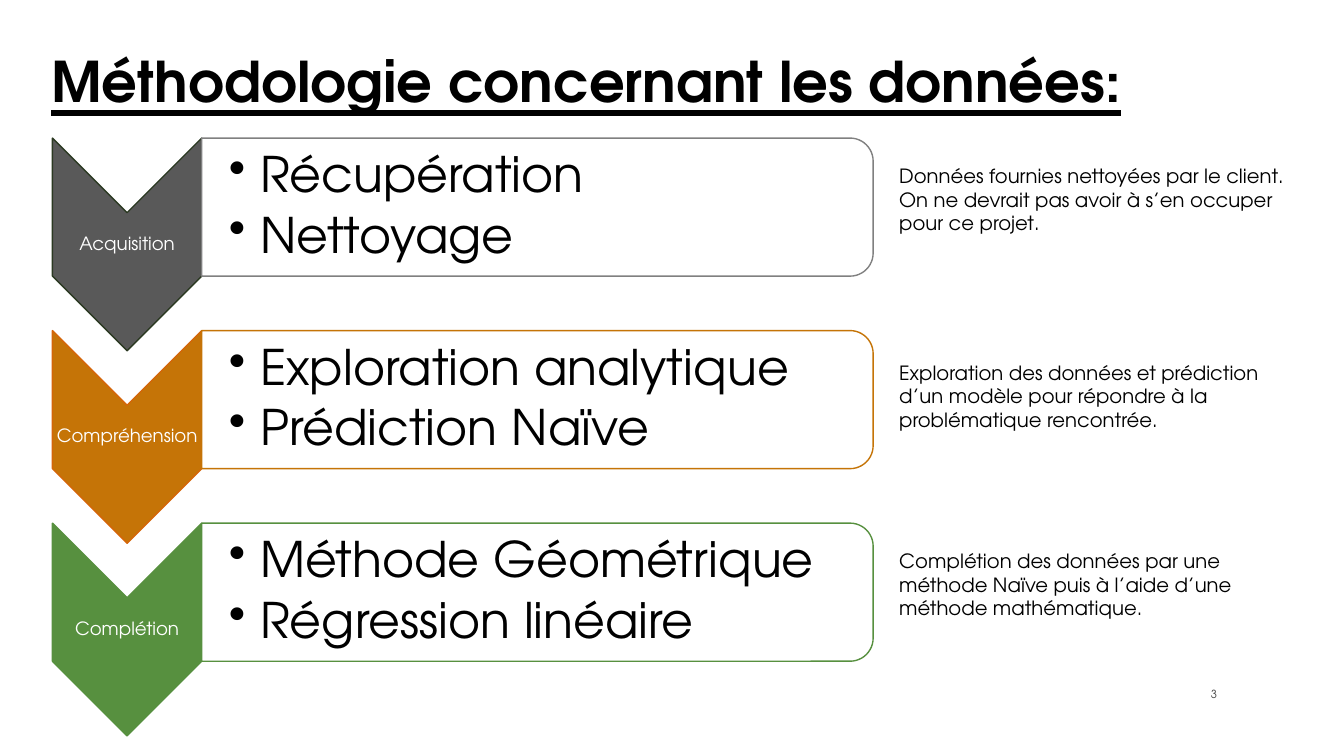
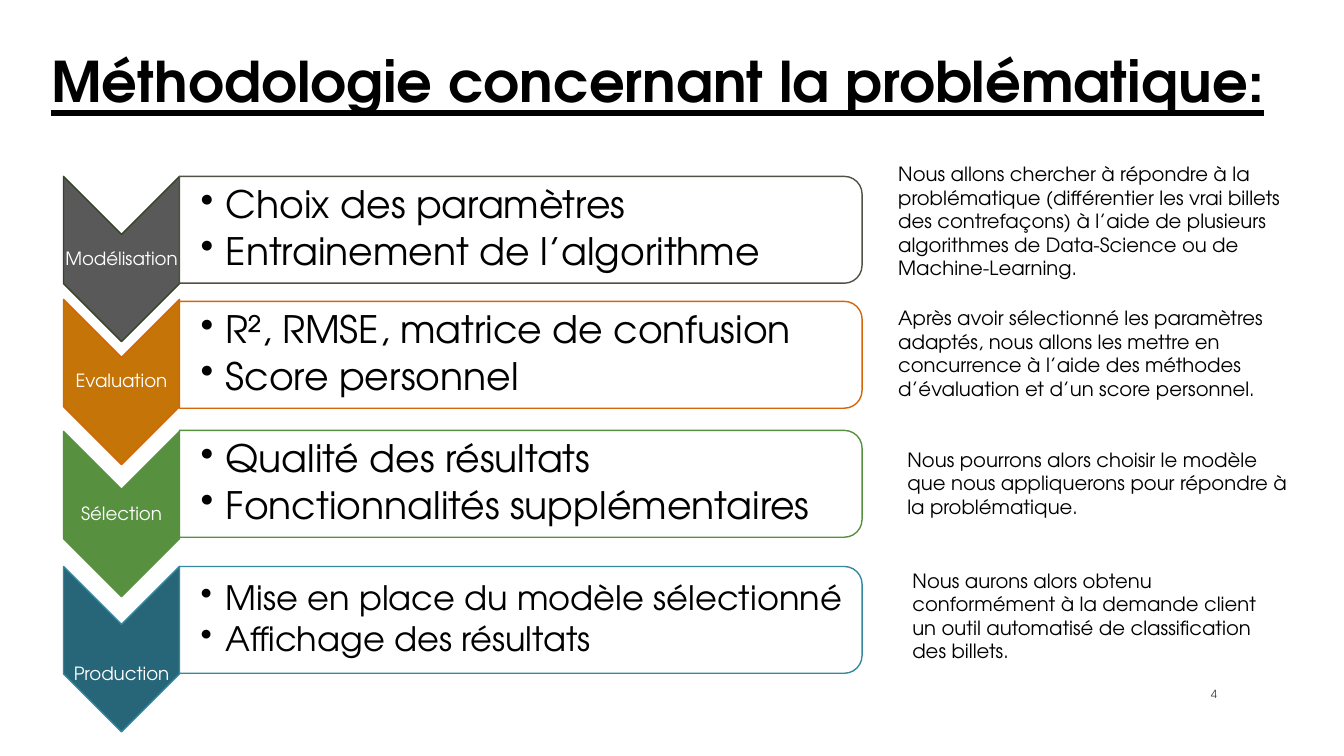
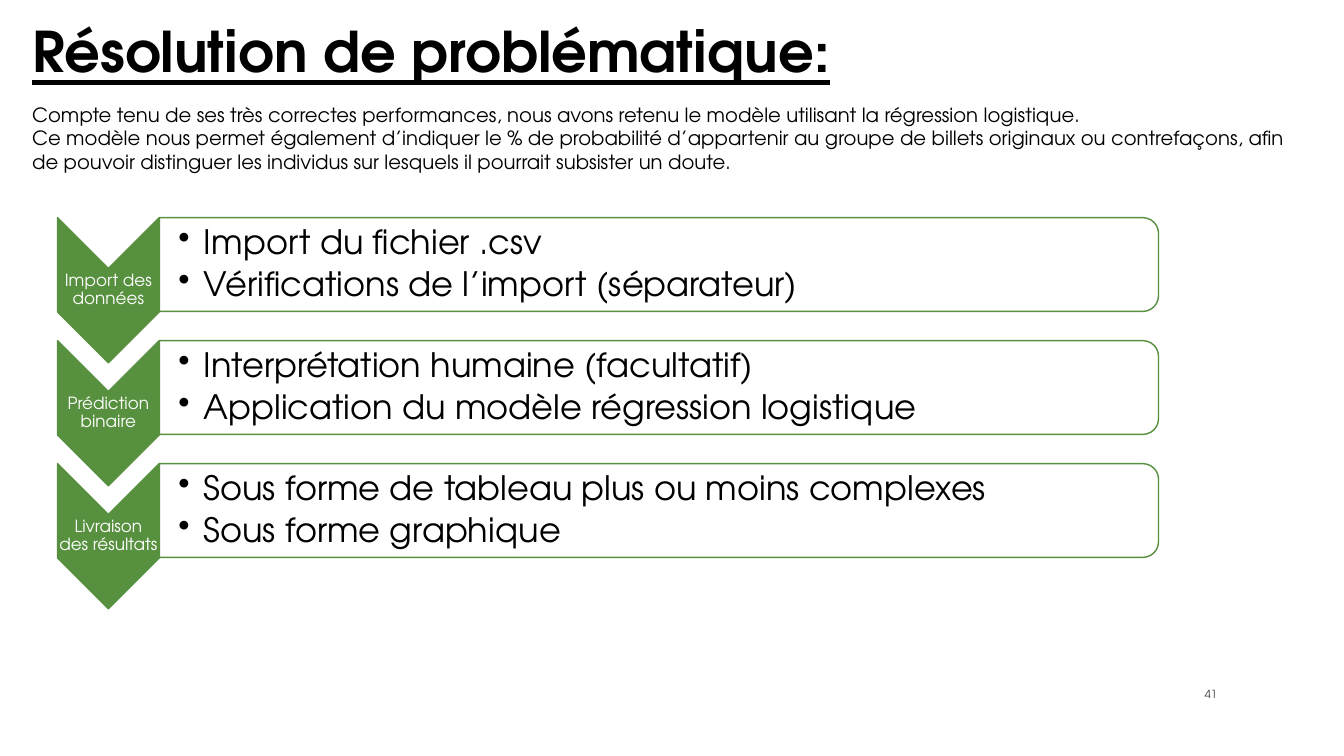
from dataclasses import dataclass

from lxml import etree
from pptx import Presentation
from pptx.dml.color import RGBColor
from pptx.enum.shapes import MSO_SHAPE
from pptx.enum.text import MSO_ANCHOR, MSO_AUTO_SIZE, PP_ALIGN
from pptx.oxml.ns import qn
from pptx.util import Inches, Pt

CHEVRON = MSO_SHAPE.CHEVRON
ROUNDED_END = MSO_SHAPE.ROUND_2_SAME_RECTANGLE
TOP, MIDDLE, BOTTOM = MSO_ANCHOR.TOP, MSO_ANCHOR.MIDDLE, MSO_ANCHOR.BOTTOM
LEFT, CENTER, RIGHT = PP_ALIGN.LEFT, PP_ALIGN.CENTER, PP_ALIGN.RIGHT
GROW = MSO_AUTO_SIZE.SHAPE_TO_FIT_TEXT

FONT = "TeX Gyre Adventor"
BLACK = RGBColor(0x00, 0x00, 0x00)
WHITE = RGBColor(0xFF, 0xFF, 0xFF)
DARK_GRAY = RGBColor(0x40, 0x40, 0x40)
GRAY = RGBColor(0x59, 0x59, 0x59)
LIGHT_GRAY = RGBColor(0x80, 0x80, 0x80)
OLIVE_GRAY = RGBColor(0x50, 0x50, 0x46)
DEEP_GREEN = RGBColor(0x2B, 0x39, 0x22)
MOSS = RGBColor(0x34, 0x45, 0x29)
OCHRE = RGBColor(0xC5, 0x74, 0x07)
ORANGE = RGBColor(0xD5, 0x65, 0x09)
GREEN = RGBColor(0x57, 0x90, 0x3F)
TEAL = RGBColor(0x27, 0x66, 0x78)
LIGHT_TEAL = RGBColor(0x34, 0x88, 0xA0)


@dataclass
class StepStyle:
    """Sizes, in inches and points, shared by the steps of one slide."""
    left: float
    chevron_width: float
    chevron_height: float
    box_width: float
    box_height: float
    inset: float
    indent: float
    label_size: int


@dataclass
class Step:
    label: str
    bullets: tuple
    fill: RGBColor = GREEN
    chevron_line: RGBColor = GREEN
    box_line: RGBColor = GREEN
    size: int = 24
    label_shift: float = 0


def write(frame, lines, size, color=BLACK, align=LEFT, anchor=TOP):
    frame.word_wrap = True
    frame.vertical_anchor = anchor
    frame.text = "\n".join(lines)
    for para in frame.paragraphs:
        para.alignment = align
        for span in para.runs:
            span.font.name = FONT
            span.font.size = Pt(size)
            span.font.color.rgb = color


def add_text(page, box, lines, size, **look):
    left, top, width, height = map(Inches, box)
    frame = page.shapes.add_textbox(left, top, width, height).text_frame
    write(frame, lines, size, **look)
    return frame


def add_note(page, box, *lines):
    add_text(page, box, lines, 14).auto_size = GROW


def set_insets(frame, left, others):
    frame.margin_left = Inches(left)
    frame.margin_top = frame.margin_right = frame.margin_bottom = Inches(others)


def add_bullet(para, indent):
    """Give the paragraph a hanging bullet and 15 % of space after it."""
    para.line_spacing = 0.9
    properties = para._p.get_or_add_pPr()
    properties.set("marL", str(Inches(indent)))
    properties.set("indent", str(-Inches(indent)))
    space = etree.SubElement(properties, qn("a:spcAft"))
    etree.SubElement(space, qn("a:spcPct")).set("val", "15000")
    etree.SubElement(properties, qn("a:buChar")).set("char", "•")


def add_turned_shape(page, kind, box, fill, line):
    """Add a shape turned by 90 degrees that covers the given box."""
    left, top, width, height = box
    shift = (width - height) / 2
    shape = page.shapes.add_shape(kind, Inches(left + shift), Inches(top - shift),
                                  Inches(height), Inches(width))
    shape.rotation = 90
    shape.shadow.inherit = False
    shape.fill.solid()
    shape.fill.fore_color.rgb = fill
    shape.line.color.rgb = line
    shape.line.width = Pt(1)


def add_step(page, style, step, chevron_top, box_top):
    width, height = style.chevron_width, style.chevron_height
    add_turned_shape(page, CHEVRON, (style.left, chevron_top, width, height),
                     step.fill, step.chevron_line)
    label_box = (style.left, chevron_top + width / 2 + step.label_shift,
                 width, height - width)
    label = add_text(page, label_box, [step.label], style.label_size,
                     color=WHITE, align=CENTER, anchor=MIDDLE)
    set_insets(label, 0.01, 0.01)
    label.paragraphs[0].line_spacing = 0.9

    box = (style.left + width, box_top, style.box_width, style.box_height)
    add_turned_shape(page, ROUNDED_END, box, WHITE, step.box_line)
    bullets = add_text(page, box, step.bullets, step.size, anchor=MIDDLE)
    set_insets(bullets, style.inset, 0.02)
    for para in bullets.paragraphs:
        add_bullet(para, style.indent)


def add_even_steps(page, style, steps, top, pitch):
    for row, step in enumerate(steps):
        row_top = top + row * pitch
        add_step(page, style, step, row_top, row_top)


def add_page(deck, title, number, title_box=(0.41, 0.41, 12.51, 0.77)):
    page = deck.slides.add_slide(deck.slide_layouts[5])
    holder = page.shapes.title
    holder.left, holder.top, holder.width, holder.height = map(Inches, title_box)
    write(holder.text_frame, [title], 40)
    holder.text_frame.auto_size = GROW
    font = holder.text_frame.paragraphs[0].runs[0].font
    font.bold = font.underline = True
    add_text(page, (11.25, 6.6, 0.92, 0.4), [number], 8,
             color=DARK_GRAY, align=RIGHT, anchor=BOTTOM)
    return page


def build_data_method(deck):
    page = add_page(deck, "Méthodologie concernant les données:", "3")
    style = StepStyle(0.52, 1.48, 2.11, 6.66, 1.37, 0.27, 0.31, 13)
    steps = (
        Step("Acquisition", ("Récupération", "Nettoyage"),
             GRAY, DEEP_GREEN, LIGHT_GRAY, 35),
        Step("Compréhension", ("Exploration analytique", "Prédiction Naïve"),
             OCHRE, ORANGE, OCHRE, 35),
        Step("Complétion", ("Méthode Géométrique", "Régression linéaire"), size=35),
    )
    add_even_steps(page, style, steps, 1.37, 1.91)
    add_note(page, (8.82, 1.58, 4.1, 0.81),
             "Données fournies nettoyées par le client.",
             "On ne devrait pas avoir à s’en occuper pour ce projet.")
    add_note(page, (8.82, 3.53, 4.1, 0.81),
             "Exploration des données et prédiction d’un modèle pour répondre à la "
             "problématique rencontrée.")
    add_note(page, (8.82, 5.4, 4.1, 0.81),
             "Complétion des données par une méthode Naïve puis à l’aide d’une "
             "méthode mathématique.")


def build_problem_method(deck):
    page = add_page(deck, "Méthodologie concernant la problématique:", "4")
    style = StepStyle(0.63, 1.15, 1.64, 6.77, 1.06, 0.21, 0.25, 13)
    steps = (
        Step("Modélisation", ("Choix des paramètres", "Entrainement de l’algorithme"),
             GRAY, MOSS, OLIVE_GRAY, 27),
        Step("Evaluation", ("R², RMSE, matrice de confusion", "Score personnel"),
             OCHRE, ORANGE, ORANGE, 27),
        Step("Sélection", ("Qualité des résultats", "Fonctionnalités supplémentaires"),
             size=27),
        Step("Production",
             ("Mise en place du modèle sélectionné", "Affichage des résultats"),
             TEAL, LIGHT_TEAL, LIGHT_TEAL, label_shift=0.25),
    )
    chevron_tops = (1.75, 2.97, 4.28, 5.62)
    box_tops = (1.75, 2.99, 4.27, 5.62)
    for step, chevron_top, box_top in zip(steps, chevron_tops, box_tops):
        add_step(page, style, step, chevron_top, box_top)
    add_note(page, (8.81, 1.56, 4.23, 1.28),
             "Nous allons chercher à répondre à la problématique (différentier les "
             "vrai billets des contrefaçons) à l’aide de plusieurs algorithmes de "
             "Data-Science ou de Machine-Learning.")
    add_note(page, (8.81, 2.99, 3.89, 1.04),
             "Après avoir sélectionné les paramètres adaptés, nous allons les mettre "
             "en concurrence à l’aide des méthodes d’évaluation et d’un score personnel.")
    add_note(page, (8.9, 4.39, 4.02, 0.81),
             "Nous pourrons alors choisir le modèle que nous appliquerons pour "
             "répondre à la problématique.")
    add_note(page, (8.95, 5.59, 3.75, 1.04),
             "Nous aurons alors obtenu conformément à la demande client un outil "
             "automatisé de classification des billets.")


def build_resolution(deck):
    page = add_page(deck, "Résolution de problématique:", "41",
                    (0.22, 0.11, 12.55, 0.77))
    add_note(page, (0.22, 0.97, 12.84, 0.81),
             "Compte tenu de ses très correctes performances, nous avons retenu le "
             "modèle utilisant la régression logistique.",
             "Ce modèle nous permet également d’indiquer le % de probabilité "
             "d’appartenir au groupe de billets originaux ou contrefaçons, afin de "
             "pouvoir distinguer les individus sur lesquels il pourrait subsister "
             "un doute.")
    style = StepStyle(0.57, 1.01, 1.44, 9.91, 0.93, 0.19, 0.25, 12)
    steps = (
        Step("Import des données",
             ("Import du fichier .csv", "Vérifications de l’import (séparateur)")),
        Step("Prédiction binaire",
             ("Interprétation humaine (facultatif)",
              "Application du modèle régression logistique")),
        Step("Livraison des résultats",
             ("Sous forme de tableau plus ou moins complexes",
              "Sous forme graphique")),
    )
    add_even_steps(page, style, steps, 2.16, 1.22)


def main():
    deck = Presentation()
    deck.slide_width = Inches(13.33)
    deck.slide_height = Inches(7.5)
    build_data_method(deck)
    build_problem_method(deck)
    build_resolution(deck)
    deck.save("out.pptx")


if __name__ == "__main__":
    main()
